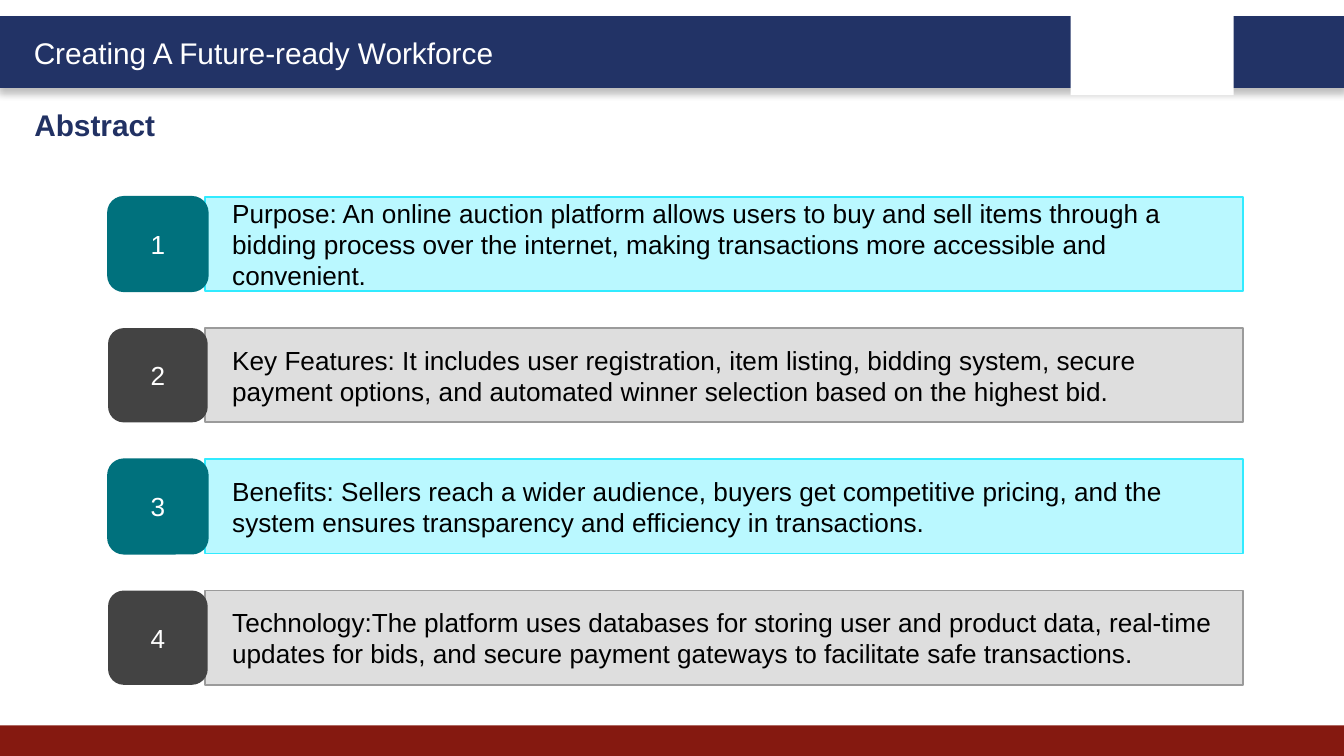
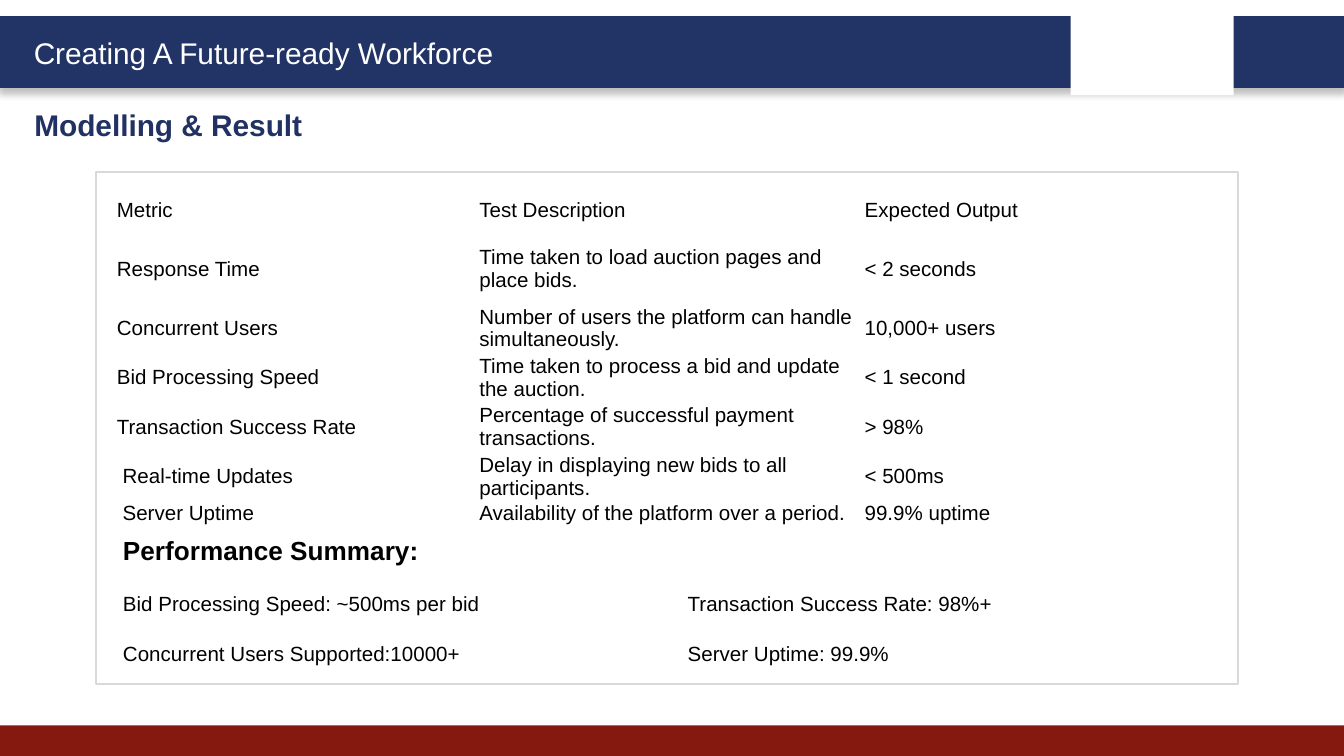
from dataclasses import dataclass

from lxml.etree import SubElement
from pptx import Presentation
from pptx.dml.color import RGBColor
from pptx.enum.shapes import MSO_SHAPE as Preset
from pptx.enum.text import MSO_ANCHOR as Anchor, MSO_AUTO_SIZE as AutoSize, PP_ALIGN as Align
from pptx.oxml.ns import qn
from pptx.util import Pt


@dataclass(frozen=True)
class Theme:
    """Colours, font and type sizes of the deck."""
    font: str = "Arial"
    title_size: int = 16
    body_size: int = 14
    table_size: int = 11
    white: str = "FFFFFF"
    black: str = "000000"
    band: str = "223366"
    title: str = "213163"
    footer: str = "851910"
    frame: str = "D9D9D9"
    teal: str = "00717D"
    aqua: str = "BAF8FF"
    aqua_line: str = "31EBFF"
    charcoal: str = "434343"
    grey: str = "DEDEDE"
    grey_line: str = "9B9B9B"


THEME = Theme()
NO_GRID_STYLE = "{2D5ABB26-0587-4C30-8999-92F81FD0307C}"

ABSTRACT = [
    "Purpose: An online auction platform allows users to buy and sell items through a "
    "bidding process over the internet, making transactions more accessible and convenient.",
    "Key Features: It includes user registration, item listing, bidding system, secure "
    "payment options, and automated winner selection based on the highest bid.",
    "Benefits: Sellers reach a wider audience, buyers get competitive pricing, and the "
    "system ensures transparency and efficiency in transactions.",
    "Technology:The platform uses databases for storing user and product data, real-time "
    "updates for bids, and secure payment gateways to facilitate safe transactions.",
]

METRICS = [
    ("Metric", "Test Description", "Expected Output"),
    ("Response Time", "Time taken to load auction pages and place bids.", "< 2 seconds"),
    ("Concurrent Users", "Number of users the platform can handle simultaneously.",
     "10,000+ users"),
    ("Bid Processing Speed", "Time taken to process a bid and update the auction.",
     "< 1 second"),
    ("Transaction Success Rate", "Percentage of successful payment transactions.", "> 98%"),
    ("Real-time Updates", "Delay in displaying new bids to all participants.", "< 500ms"),
    ("Server Uptime", "Availability of the platform over a period.", "99.9% uptime"),
]
METRIC_TOPS = [90.7, 131, 162.7, 189.2, 215.7, 242.1, 268.5]
METRIC_HEIGHTS = [44] + [26.4] * 5 + [13]
METRIC_INDENTS = [12.2] * 5 + [15.3] * 2

SUMMARY = [
    ("Bid Processing Speed: ~500ms per bid", "Transaction Success Rate: 98%+"),
    ("Concurrent Users Supported:10000+", "Server Uptime: 99.9%"),
]


def rgb(value):
    """Turn a hex string into a colour."""
    return RGBColor.from_string(value)


def style(paragraph, size, color, bold=False, align=Align.LEFT):
    """Set the font and alignment of a paragraph."""
    font = paragraph.font
    font.name, font.size, font.bold = THEME.font, Pt(size), bold
    font.color.rgb = rgb(color)
    paragraph.alignment = align


def add_box(shapes, bounds, fill=None, line=None, width=1, preset=Preset.RECTANGLE):
    """Add a flat preset shape."""
    shape = shapes.add_shape(preset, *map(Pt, bounds))
    shape.shadow.inherit = False
    if fill:
        shape.fill.solid()
        shape.fill.fore_color.rgb = rgb(fill)
    else:
        shape.fill.background()
    if line:
        shape.line.color.rgb = rgb(line)
        shape.line.width = Pt(width)
    else:
        shape.line.fill.background()
    return shape


def write_in(shape, text, color, align, indent=7.2):
    """Write vertically centred body text into a shape."""
    frame = shape.text_frame
    frame.word_wrap = True
    frame.vertical_anchor = Anchor.MIDDLE
    frame.margin_left = Pt(indent)
    paragraph = frame.paragraphs[0]
    paragraph.text = text
    style(paragraph, THEME.body_size, color, align=align)


def add_text_box(slide, bounds):
    """Add a wrapping text box and return its frame."""
    frame = slide.shapes.add_textbox(*map(Pt, bounds)).text_frame
    frame.word_wrap = True
    return frame


def add_drop_shadow(shape):
    """Give a shape a soft shadow straight below."""
    effects = shape.element.spPr.find(qn("a:effectLst"))
    shadow = SubElement(effects, qn("a:outerShdw"), blurRad=str(Pt(4)), dist=str(Pt(3)),
                        dir="5400000", algn="t", rotWithShape="0")
    color = SubElement(shadow, qn("a:srgbClr"), val=THEME.black)
    SubElement(color, qn("a:alpha"), val="25000")


def move_bands_to_layout(slide, layout):
    """Draw the header and footer bands and hand them to the layout."""
    for placeholder in list(layout.placeholders):
        if placeholder.placeholder_format.idx:
            layout.shapes.element.remove(placeholder.element)
    header = add_box(slide.shapes, (0, 9.4, 720, 36.7), THEME.band, THEME.band, 2)
    add_drop_shadow(header)
    add_box(slide.shapes, (0, 388.6, 720, 16.4), THEME.footer)
    add_box(slide.shapes, (573.6, 5, 87.3, 46), THEME.white)
    slogan = add_text_box(slide, (11, 15.2, 272.2, 26.6)).paragraphs[0]
    slogan.text = "Creating A Future-ready Workforce"
    style(slogan, THEME.title_size, THEME.white)
    for shape in list(slide.shapes):
        if not shape.is_placeholder:
            layout.shapes.element.append(shape.element)


def add_titled_slide(presentation, layout, text):
    """Add a slide and format its title."""
    slide = presentation.slides.add_slide(layout)
    title = slide.shapes.title
    title.left, title.top, title.width, title.height = map(Pt, (11.2, 53.6, 348.5, 26.6))
    frame = title.text_frame
    frame.text = text
    frame.auto_size = AutoSize.NONE
    frame.vertical_anchor = Anchor.TOP
    style(frame.paragraphs[0], THEME.title_size, THEME.title, bold=True)
    return slide


def add_numbered_card(slide, number, text):
    """Add one card with its number badge; odd and even cards differ in colour."""
    top, height = 105.5 + 70.3 * (number - 1), 50.5
    if number % 2:
        fill, line, badge_fill, badge_line = THEME.aqua, THEME.aqua_line, THEME.teal, THEME.teal
    else:
        fill, line, badge_fill, badge_line = THEME.grey, THEME.grey_line, THEME.charcoal, None
    group = slide.shapes.add_group_shape()
    card = add_box(group.shapes, (110, top, 556, height), fill, line)
    write_in(card, text, THEME.black, Align.LEFT, indent=14.4)
    badge = add_box(group.shapes, (57.9, top, 53.4, height), badge_fill, badge_line,
                    preset=Preset.ROUNDED_RECTANGLE)
    write_in(badge, str(number), THEME.white, Align.CENTER)


def add_metric_table(slide, values, top, height, indent):
    """Add a borderless table of one row for one metric."""
    graphic = slide.shapes.add_table(1, len(values), Pt(50.4), Pt(top), Pt(619.2), Pt(height))
    graphic.element.find(".//" + qn("a:tableStyleId")).text = NO_GRID_STYLE
    table = graphic.table
    table.first_row = table.horz_banding = False
    for column, value in enumerate(values):
        cell = table.cell(0, column)
        cell.fill.background()
        cell.vertical_anchor = Anchor.MIDDLE
        cell.margin_left = Pt(0 if column else indent)
        cell.margin_top = cell.margin_right = cell.margin_bottom = 0
        cell.text = value
        style(cell.text_frame.paragraphs[0], THEME.table_size, THEME.black)


def add_summary(slide):
    """Add the performance summary in two tabbed columns."""
    frame = add_text_box(slide, (50.4, 283, 612, 80))
    frame.margin_left = Pt(15.5)
    heading = frame.paragraphs[0]
    heading.text = "Performance Summary:"
    style(heading, THEME.body_size, THEME.black, bold=True)
    for pair in SUMMARY:
        paragraph = frame.add_paragraph()
        paragraph.text = "\t".join(pair)
        paragraph.space_before = Pt(13.3)
        style(paragraph, THEME.table_size, THEME.black)
        properties = paragraph._p.get_or_add_pPr()
        tabs = SubElement(properties, qn("a:tabLst"))
        SubElement(tabs, qn("a:tab"), pos=str(Pt(302.5)), algn="l")
        properties.find(qn("a:defRPr")).addprevious(tabs)


def main():
    """Build and save the deck."""
    presentation = Presentation()
    presentation.slide_width, presentation.slide_height = Pt(720), Pt(405)
    layout = presentation.slide_layouts.get_by_name("Title Only")

    abstract = add_titled_slide(presentation, layout, "Abstract")
    move_bands_to_layout(abstract, layout)
    for number, text in enumerate(ABSTRACT, start=1):
        add_numbered_card(abstract, number, text)

    result = add_titled_slide(presentation, layout, "Modelling & Result")
    add_box(result.shapes, (51.4, 92.2, 611.8, 274.3), line=THEME.frame)
    for metric in zip(METRICS, METRIC_TOPS, METRIC_HEIGHTS, METRIC_INDENTS):
        add_metric_table(result, *metric)
    add_summary(result)

    presentation.save("out.pptx")


if __name__ == "__main__":
    main()
